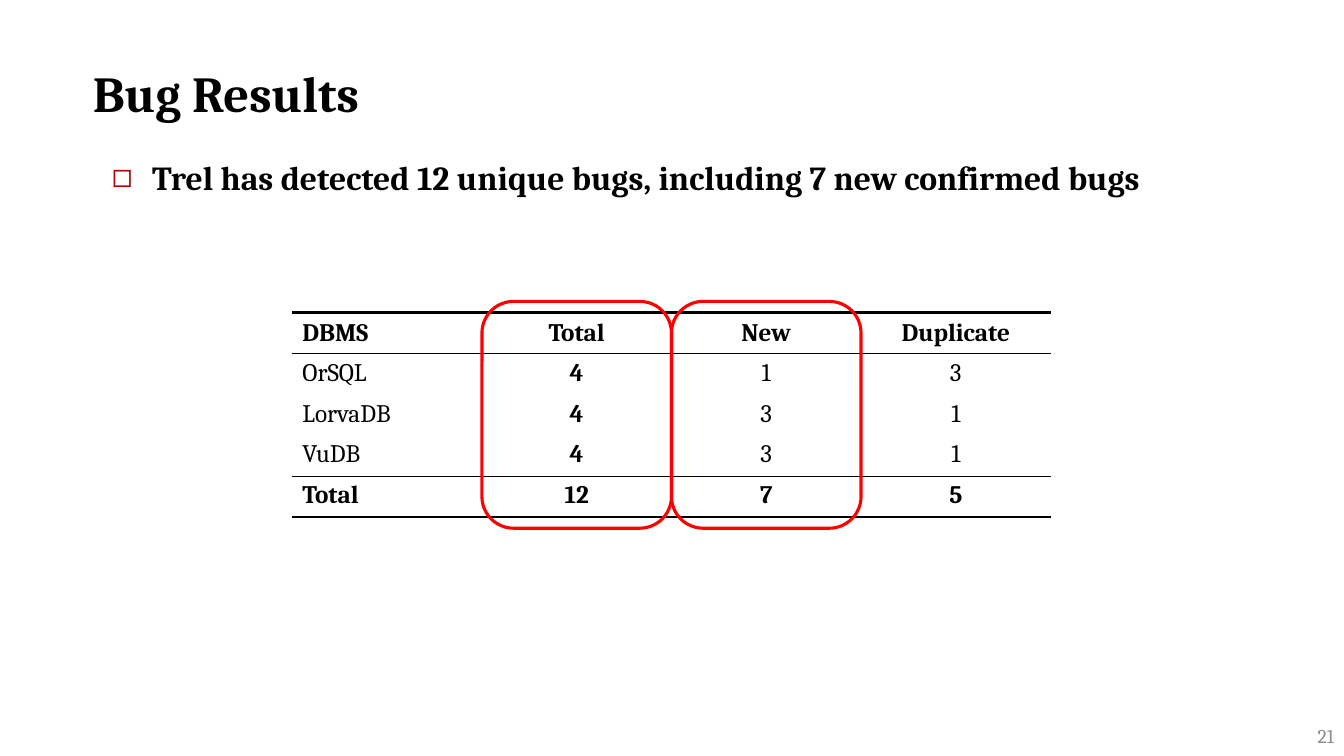
from lxml import etree
from pptx import Presentation
from pptx.dml.color import RGBColor
from pptx.enum import shapes, text
from pptx.oxml import ns
from pptx.util import Inches, Pt

TITLE = "Bug Results"
POINT = "Trel has detected 12 unique bugs, including 7 new confirmed bugs"
PAGE = "21"
ROWS = [
    ("DBMS", "Total", "New", "Duplicate"),
    ("OrSQL", "4", "1", "3"),
    ("LorvaDB", "4", "3", "1"),
    ("VuDB", "4", "3", "1"),
    ("Total", "12", "7", "5"),
]
RULES = [2.25, 1, 0, 0, 1, 2.25]  # line width in points above each row, then below the last
MARKED = [1, 2]  # columns with a red frame

FONT = "Cambria"
COLORS = {"ink": "000000", "bullet": "AD0101", "frame": "FF0000", "page": "8C8C8C"}
LEFT, TOP, COL, ROW = 2.9, 3.1, 1.88, 0.406
PAD = 0.11  # frame overhang above and below the table


def color(name):
    return RGBColor.from_string(COLORS[name])


def place(shape, left, top, width, height):
    shape.left, shape.top = Inches(left), Inches(top)
    shape.width, shape.height = Inches(width), Inches(height)


def style(para, size, bold=False, ink="ink", align=text.PP_ALIGN.LEFT):
    para.alignment = align
    for run in para.runs:
        font = run.font
        font.name, font.size, font.bold = FONT, Pt(size), bold
        font.color.rgb = color(ink)


def add(parent, tag, **attrs):
    return etree.SubElement(parent, ns.qn(tag), attrs)


def border(cell, above, below):
    """Draw only the horizontal rules of a cell; a width of 0 means no line."""
    props = cell._tc.get_or_add_tcPr()
    for side, width in (("L", 0), ("R", 0), ("T", above), ("B", below)):
        line = add(props, f"a:ln{side}", w=str(Pt(width)))
        if width:
            add(add(line, "a:solidFill"), "a:srgbClr", val=COLORS["ink"])
        else:
            add(line, "a:noFill")


def add_title(slide):
    title = slide.shapes.title
    place(title, 0.82, 0.34, 11.84, 0.93)
    frame = title.text_frame
    frame.text = TITLE
    frame.vertical_anchor = text.MSO_ANCHOR.BOTTOM
    frame.paragraphs[0].line_spacing = Pt(46.7)
    style(frame.paragraphs[0], 36, True)


def add_point(slide):
    body = slide.placeholders[1]
    place(body, 1.01, 1.51, 11.31, 0.5)
    frame = body.text_frame
    frame.text = POINT
    frame.auto_size = text.MSO_AUTO_SIZE.SHAPE_TO_FIT_TEXT
    para = frame.paragraphs[0]
    style(para, 24, True)
    para.space_before = Pt(16)
    props = para._p.get_or_add_pPr()
    props.set("marL", str(Inches(0.4)))
    props.set("indent", str(-Inches(0.4)))
    add(add(props, "a:buClr"), "a:srgbClr", val=COLORS["bullet"])
    add(props, "a:buFont", typeface=FONT)
    add(props, "a:buChar", char="◻")


def add_results(slide):
    count, wide = len(ROWS), len(ROWS[0])
    table = slide.shapes.add_table(
        count, wide, Inches(LEFT), Inches(TOP), Inches(COL * wide), Inches(ROW * count)
    ).table
    table.first_row = table.horz_banding = False
    for r, row in enumerate(ROWS):
        table.rows[r].height = Inches(ROW)
        for c, value in enumerate(row):
            cell = table.cell(r, c)
            cell.text = value
            bold = r in (0, count - 1) or c == 1
            align = text.PP_ALIGN.CENTER if c else text.PP_ALIGN.LEFT
            style(cell.text_frame.paragraphs[0], 18, bold, align=align)
            if r == 0:
                cell.vertical_anchor = text.MSO_ANCHOR.MIDDLE
            border(cell, RULES[r], RULES[r + 1])
            cell.fill.background()


def add_frames(slide):
    for c in MARKED:
        frame = slide.shapes.add_shape(
            shapes.MSO_SHAPE.ROUNDED_RECTANGLE,
            Inches(LEFT + c * COL), Inches(TOP - PAD),
            Inches(COL), Inches(ROW * len(ROWS) + 2 * PAD),
        )
        frame.shadow.inherit = False
        frame.fill.background()
        frame.line.color.rgb = color("frame")
        frame.line.width = Pt(2.25)


def add_page(slide):
    box = slide.shapes.add_textbox(Inches(10.33), Inches(7.1), Inches(3), Inches(0.4))
    frame = box.text_frame
    frame.word_wrap = True
    frame.vertical_anchor = text.MSO_ANCHOR.MIDDLE
    frame.text = PAGE
    style(frame.paragraphs[0], 14, ink="page", align=text.PP_ALIGN.RIGHT)


def main():
    deck = Presentation()
    deck.slide_width, deck.slide_height = Inches(13.33), Inches(7.5)
    slide = deck.slides.add_slide(deck.slide_layouts[1])
    for part in (add_title, add_point, add_results, add_frames, add_page):
        part(slide)
    deck.save("out.pptx")


if __name__ == "__main__":
    main()
